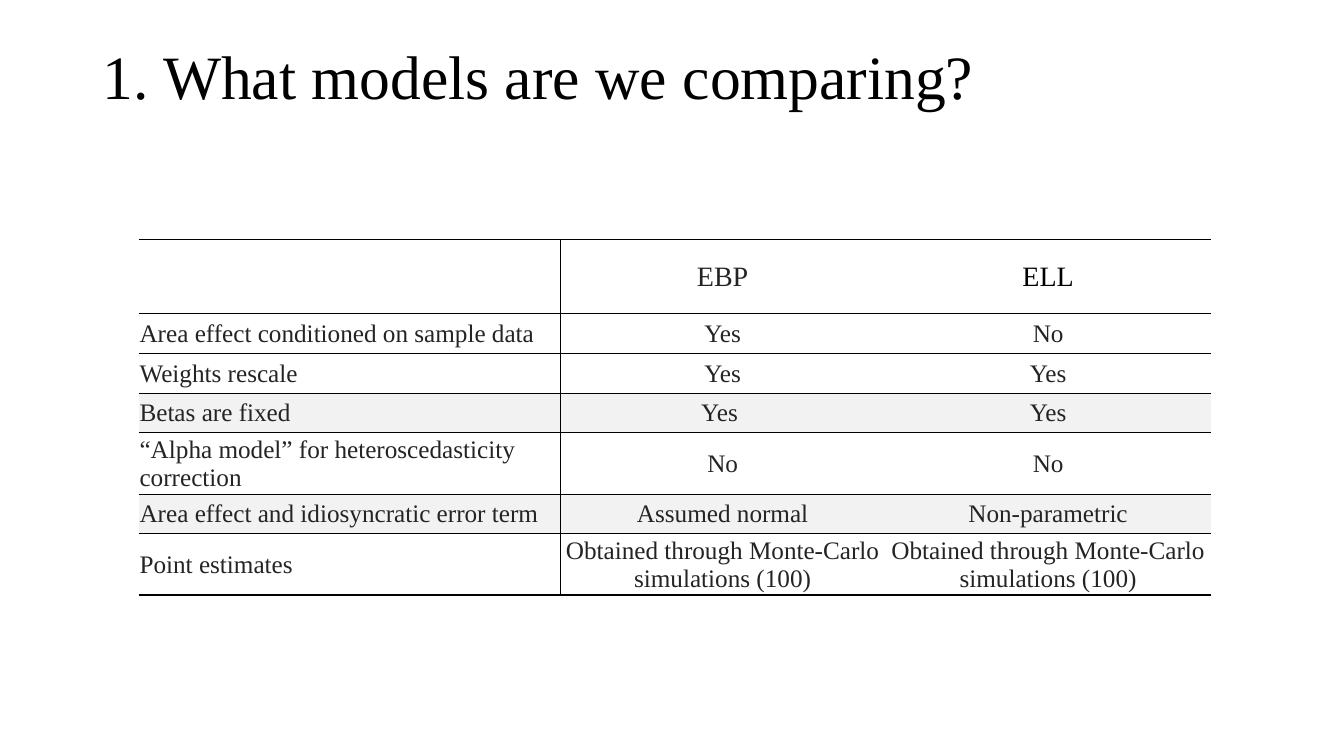
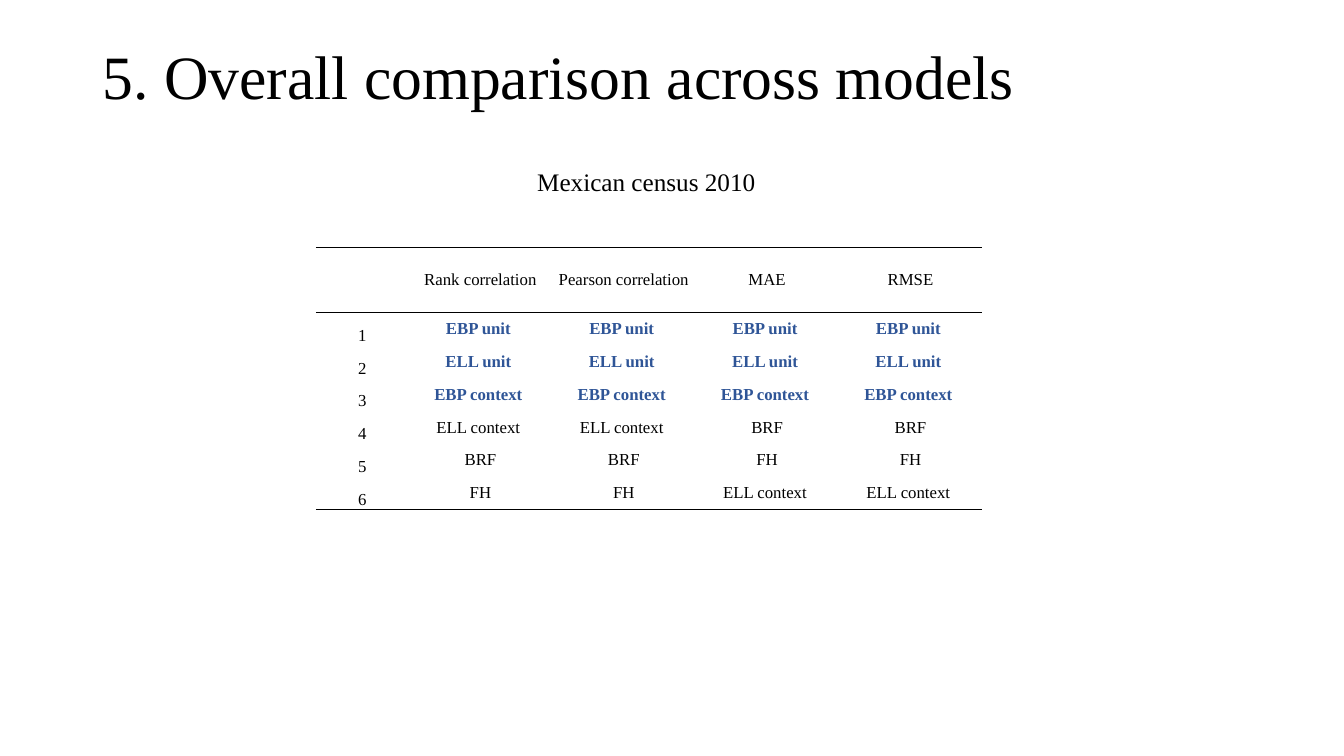
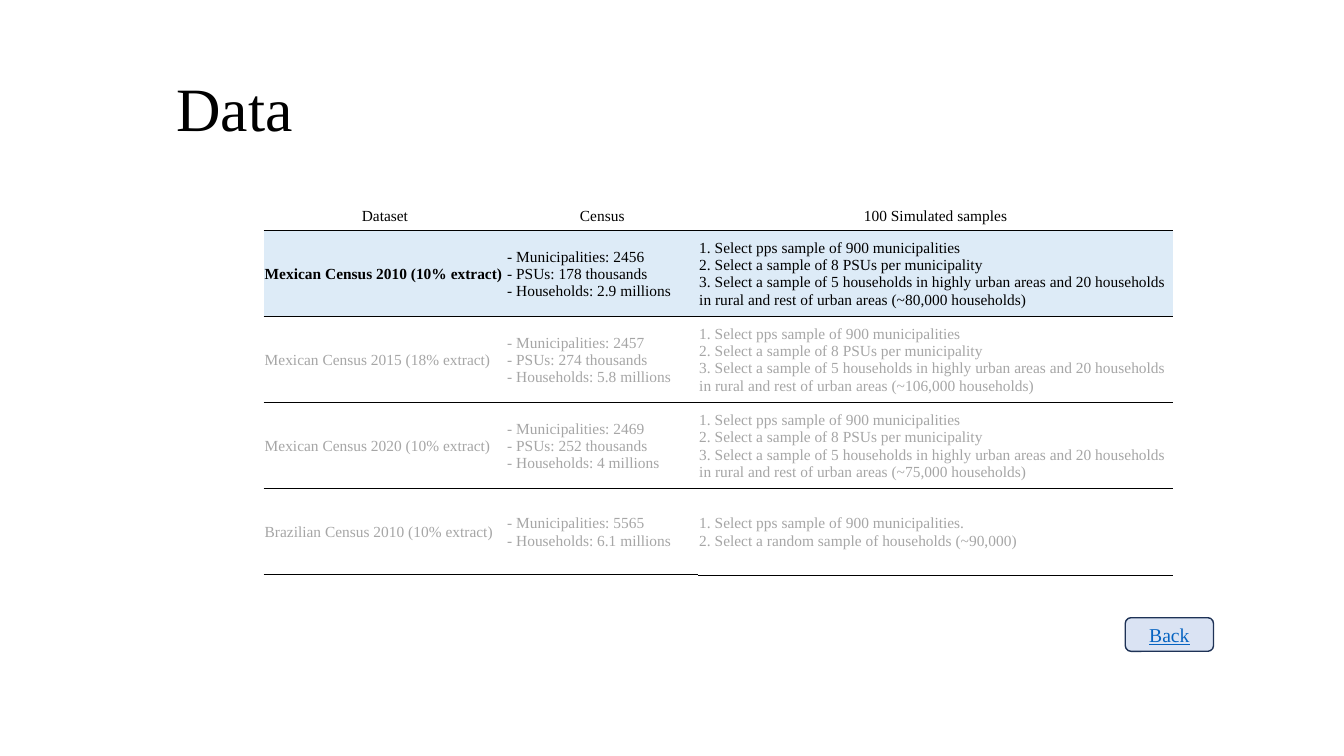
from dataclasses import dataclass

from lxml import etree
from pptx import Presentation
from pptx.dml.color import RGBColor
from pptx.enum.shapes import MSO_SHAPE
from pptx.enum.text import MSO_ANCHOR, PP_ALIGN
from pptx.oxml.ns import qn
from pptx.slide import Slide
from pptx.table import Table, _Cell
from pptx.text.text import TextFrame
from pptx.util import Pt

LEFT, CENTER = PP_ALIGN.LEFT, PP_ALIGN.CENTER
TOP, MIDDLE, BOTTOM = MSO_ANCHOR.TOP, MSO_ANCHOR.MIDDLE, MSO_ANCHOR.BOTTOM
ROUNDED_RECTANGLE = MSO_SHAPE.ROUNDED_RECTANGLE

FONT = "Times New Roman"
BLACK = RGBColor(0x00, 0x00, 0x00)
CHARCOAL = RGBColor(0x24, 0x24, 0x24)
MUTED = RGBColor(0xA6, 0xA6, 0xA6)
BEST_BLUE = RGBColor(0x2F, 0x55, 0x97)
WHITE = RGBColor(0xFF, 0xFF, 0xFF)
BAND_GRAY = RGBColor(0xF2, 0xF2, 0xF2)
HIGHLIGHT = RGBColor(0xDD, 0xEB, 0xF7)
BUTTON_FILL = RGBColor(0xDA, 0xE3, 0xF3)
BUTTON_LINE = RGBColor(0x1E, 0x32, 0x56)
LINK_BLUE = RGBColor(0x05, 0x63, 0xC1)

CELL_INSET = 0.7
THIN, THICK = 0.5, 1


@dataclass
class CellText:
    text: str
    size: float
    color: RGBColor = BLACK
    bold: bool = False
    align: PP_ALIGN = CENTER
    anchor: MSO_ANCHOR = MIDDLE


@dataclass
class TableRow:
    cells: list[CellText]
    height: float
    fill: RGBColor = WHITE


@dataclass
class TableDesign:
    """Rules hold a line width per column for every row edge, top to bottom."""

    left: float
    top: float
    widths: list[float]
    rows: list[TableRow]
    rules: list[list[float]]
    divider: float = 0


def write_text(frame: TextFrame, text: str, *, size: float, color: RGBColor = BLACK,
               bold: bool = False, underline: bool = False, align: PP_ALIGN = LEFT,
               line_spacing: float | None = None) -> None:
    """Write one paragraph, with a line break at each newline."""
    paragraph = frame.paragraphs[0]
    paragraph.text = text
    paragraph.alignment = align
    paragraph.line_spacing = line_spacing
    for run in paragraph.runs:
        run.font.name = FONT
        run.font.size = Pt(size)
        run.font.color.rgb = color
        run.font.bold = bold
        run.font.underline = underline
    for line_break in paragraph._p.findall(qn("a:br")):
        etree.SubElement(line_break, qn("a:rPr"), sz=str(int(size * 100)))


def add_text(slide: Slide, text: str, left: float, top: float, width: float, height: float,
             *, anchor: MSO_ANCHOR = TOP, **text_format) -> None:
    frame = slide.shapes.add_textbox(Pt(left), Pt(top), Pt(width), Pt(height)).text_frame
    frame.word_wrap = True
    frame.vertical_anchor = anchor
    write_text(frame, text, **text_format)


def add_title(slide: Slide, text: str, left: float = 66.2, top: float = 4.6) -> None:
    add_text(slide, text, left, top, 828, 104.4, anchor=MIDDLE, size=44, line_spacing=0.9)


def set_border(cell: _Cell, side: str, width: float) -> None:
    """Add a black border to the cell, or an invisible one for zero width."""
    properties = cell._tc.get_or_add_tcPr()
    line = etree.SubElement(properties, qn(f"a:ln{side}"), w=str(Pt(width)))
    if width:
        fill = etree.SubElement(line, qn("a:solidFill"))
        etree.SubElement(fill, qn("a:srgbClr"), val=str(BLACK))
    else:
        etree.SubElement(line, qn("a:noFill"))


def add_table(slide: Slide, design: TableDesign) -> Table:
    heights = [row.height for row in design.rows]
    table = slide.shapes.add_table(
        len(heights), len(design.widths), Pt(design.left), Pt(design.top),
        Pt(sum(design.widths)), Pt(sum(heights))).table
    table.first_row = table.horz_banding = False
    for column, width in zip(table.columns, design.widths):
        column.width = Pt(width)
    for row_index, row in enumerate(design.rows):
        table.rows[row_index].height = Pt(row.height)
        for column_index, content in enumerate(row.cells):
            cell = table.cell(row_index, column_index)
            set_border(cell, "L", design.divider if column_index == 1 else 0)
            set_border(cell, "R", design.divider if column_index == 0 else 0)
            set_border(cell, "T", design.rules[row_index][column_index])
            set_border(cell, "B", design.rules[row_index + 1][column_index])
            cell.fill.solid()
            cell.fill.fore_color.rgb = row.fill
            cell.margin_left = cell.margin_right = cell.margin_top = Pt(CELL_INSET)
            cell.margin_bottom = 0
            cell.vertical_anchor = content.anchor
            write_text(cell.text_frame, content.text, size=content.size, color=content.color,
                       bold=content.bold, align=content.align)
    return table


def add_button(slide: Slide, text: str, left: float, top: float, width: float,
               height: float) -> None:
    button = slide.shapes.add_shape(ROUNDED_RECTANGLE, Pt(left), Pt(top), Pt(width), Pt(height))
    button.shadow.inherit = False
    button.fill.solid()
    button.fill.fore_color.rgb = BUTTON_FILL
    button.line.color.rgb = BUTTON_LINE
    button.line.width = Pt(1)
    button.text_frame.vertical_anchor = MIDDLE
    write_text(button.text_frame, text, size=14, color=LINK_BLUE, underline=True, align=CENTER)


def build_models_slide(slide: Slide) -> None:
    add_title(slide, "1. What models are we comparing?")
    simulations = "Obtained through Monte-Carlo simulations (100)"
    one_line, two_lines = 28.3, 40.5
    features = [
        ("Area effect conditioned on sample data", "Yes", "No", one_line, WHITE),
        ("Weights rescale", "Yes", "Yes", one_line, WHITE),
        ("Betas are fixed", "Yes ", "Yes", one_line, BAND_GRAY),
        ("“Alpha model” for heteroscedasticity correction", "No", "No", two_lines, WHITE),
        ("Area effect and idiosyncratic error term", "Assumed normal", "Non-parametric",
         one_line, BAND_GRAY),
        ("Point estimates", simulations, simulations, two_lines, WHITE),
    ]
    empty = CellText("", 18)
    header = [empty, CellText("EBP", 20, CHARCOAL), CellText("ELL", 20)]
    rows = [TableRow(header, one_line), TableRow([empty] * 3, 22.4)]
    for feature, ebp, ell, height, fill in features:
        cells = [CellText(feature, 18, CHARCOAL, align=LEFT),
                 CellText(ebp, 18, CHARCOAL), CellText(ell, 18, CHARCOAL)]
        rows.append(TableRow(cells, height, fill))
    thick, thin = [THICK] * 3, [THIN] * 3
    rules = [thick, [0, THICK, THICK], thick] + [thin] * (len(features) - 1) + [thick]
    table = add_table(slide, TableDesign(99, 171, [301.2, 232, 233], rows, rules, THICK))
    for column in (1, 2):
        table.cell(0, column).merge(table.cell(1, column))


def build_comparison_slide(slide: Slide) -> None:
    add_title(slide, "5. Overall comparison across models")
    headings = ["", " Rank correlation ", " Pearson correlation ", " MAE ", " RMSE "]
    by_correlation = ["EBP unit ", "ELL unit ", "EBP context ", "ELL context ", "BRF", "FH"]
    by_error = ["EBP unit ", "ELL unit ", "EBP context ", "BRF", "FH", "ELL context "]
    best_count = 3
    rows = [TableRow([CellText(heading, 12) for heading in headings], 46.6)]
    for rank, (correlation, error) in enumerate(zip(by_correlation, by_error), start=1):
        best = rank <= best_count
        models = [CellText(model, 12, BEST_BLUE if best else BLACK, best)
                  for model in (correlation, correlation, error, error)]
        rows.append(TableRow([CellText(str(rank), 12, anchor=BOTTOM), *models], 23.43))
    thin, none = [THIN] * 5, [0] * 5
    rules = [thin, thin] + [none] * (len(by_error) - 1) + [thin]
    add_table(slide, TableDesign(225.6, 176.5, [66.4] + [102.4] * 4, rows, rules))
    add_text(slide, "Mexican census 2010", 352.2, 115.2, 219, 29, size=18, align=CENTER)


def build_data_slide(slide: Slide) -> None:
    add_title(slide, "Data", 118.8, 27.4)
    sampling = ("1. Select pps sample of 900 municipalities\n"
                "2. Select a sample of 8 PSUs per municipality\n"
                "3. Select a sample of 5 households in highly urban areas and 20 households "
                "in rural and rest of urban areas (~{} households)")
    datasets = [
        ("Mexican Census 2010 (10% extract)",
         "- Municipalities: 2456\n- PSUs: 178 thousands\n- Households: 2.9 millions",
         sampling.format("80,000")),
        ("Mexican Census 2015 (18% extract)",
         "- Municipalities: 2457\n- PSUs: 274 thousands\n- Households: 5.8 millions",
         sampling.format("106,000")),
        ("Mexican Census 2020 (10% extract)",
         "- Municipalities: 2469\n- PSUs: 252 thousands\n- Households: 4 millions",
         sampling.format("75,000")),
        ("Brazilian Census 2010 (10% extract)",
         "- Municipalities: 5565\n- Households: 6.1 millions",
         "1. Select pps sample of 900 municipalities.\n"
         "2. Select a random sample of households (~90,000)"),
    ]
    headings = ["Dataset", "Census", "100 Simulated samples"]
    rows = [TableRow([CellText(heading, 11) for heading in headings], 21.5)]
    for index, texts in enumerate(datasets):
        used = index == 0
        cells = [CellText(text, 11, BLACK if used else MUTED, used and column == 0, LEFT)
                 for column, text in enumerate(texts)]
        rows.append(TableRow(cells, 61.5, HIGHLIGHT if used else WHITE))
    rules = [[0] * 3] + [[THIN] * 3] * len(datasets) + [[THICK, THICK, THIN]]
    add_table(slide, TableDesign(188.4, 143.2, [173.2, 137.2, 339], rows, rules))
    add_button(slide, "Back", 803.8, 441.2, 63, 24)


def main() -> None:
    presentation = Presentation()
    presentation.slide_width, presentation.slide_height = Pt(960), Pt(540)
    blank_layout = presentation.slide_layouts[6]
    for build in (build_models_slide, build_comparison_slide, build_data_slide):
        build(presentation.slides.add_slide(blank_layout))
    presentation.save("out.pptx")


if __name__ == "__main__":
    main()
